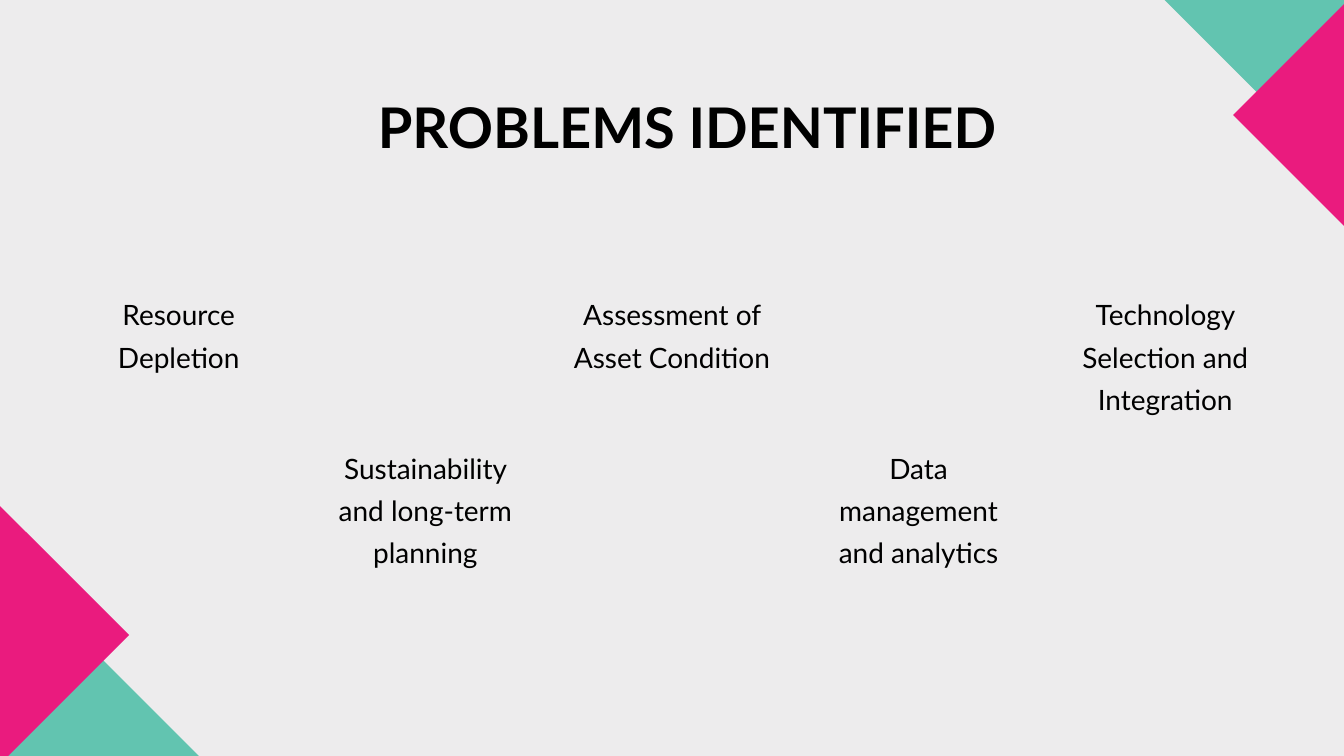
from pptx import Presentation
from pptx.dml.color import RGBColor
from pptx.enum.shapes import MSO_SHAPE
from pptx.enum.text import MSO_ANCHOR, PP_ALIGN
from pptx.util import Inches, Pt

TRIANGLE = MSO_SHAPE.ISOSCELES_TRIANGLE
TOP = MSO_ANCHOR.TOP
CENTER = PP_ALIGN.CENTER

BACKGROUND = RGBColor(0xED, 0xEC, 0xED)
TEAL = RGBColor(0x62, 0xC4, 0xB0)
PINK = RGBColor(0xEA, 0x1B, 0x7E)
BLACK = RGBColor(0, 0, 0)

TITLE = "PROBLEMS IDENTIFIED"
PROBLEMS = [
    "Resource Depletion",
    "Sustainability and long-term planning",
    "Assessment of Asset Condition",
    "Data management and analytics",
    "Technology Selection and Integration",
]
# Tip x, tip y, height, rotation, colour
CORNER_TRIANGLES = [
    (3.34, 11.63, 4.06, 90, TEAL),
    (1.92, 9.45, 2.64, 90, PINK),
    (16.89, -0.44, 3.45, 270, TEAL),
    (18.35, 1.71, 2.96, 270, PINK),
]

TITLE_BOX = (1.35, 1.37, 17.75, 1.02)
FIRST_LEFT, COLUMN_STEP = 1.12, 3.67
ROW_TOPS = (4.31, 6.6)
PROBLEM_WIDTH, LINE_HEIGHT = 3.08, 0.62

TITLE_FONT = {"name": "Lato", "size": Pt(60), "bold": True}
PROBLEM_FONT = {"name": "Lato", "size": Pt(30), "bold": False}
FRAME_FORMAT = {
    "margin_left": 0, "margin_top": 0, "margin_right": 0, "margin_bottom": 0,
    "word_wrap": True, "vertical_anchor": TOP,
}


def set_values(target, values):
    for name, value in values.items():
        setattr(target, name, value)


def write_text(shape, text, font_format, line_spacing):
    frame = shape.text_frame
    set_values(frame, FRAME_FORMAT)
    paragraph = frame.paragraphs[0]
    paragraph.alignment = CENTER
    paragraph.line_spacing = Pt(line_spacing)
    run = paragraph.add_run()
    run.text = text
    set_values(run.font, font_format)
    run.font.color.rgb = BLACK


def add_corner_triangle(slide, tip_x, tip_y, height, rotation, color):
    """Add a right-angled triangle whose tip points into the slide."""
    direction = 1 if rotation == 90 else -1
    center_x = tip_x - direction * height / 2
    shape = slide.shapes.add_shape(
        TRIANGLE, Inches(center_x - height), Inches(tip_y - height / 2),
        Inches(2 * height), Inches(height))
    shape.rotation = rotation
    shape.shadow.inherit = False
    shape.fill.solid()
    shape.fill.fore_color.rgb = color
    shape.line.fill.background()


def main():
    presentation = Presentation()
    presentation.slide_width = Inches(20)
    presentation.slide_height = Inches(11.25)
    slide = presentation.slides.add_slide(presentation.slide_layouts[5])
    slide.background.fill.solid()
    slide.background.fill.fore_color.rgb = BACKGROUND

    for triangle in CORNER_TRIANGLES:
        add_corner_triangle(slide, *triangle)

    title = slide.shapes.title
    sides = map(Inches, TITLE_BOX)
    set_values(title, dict(zip(("left", "top", "width", "height"), sides)))
    write_text(title, TITLE, TITLE_FONT, 72)

    for column, problem in enumerate(PROBLEMS):
        box = slide.shapes.add_textbox(
            Inches(FIRST_LEFT + column * COLUMN_STEP),
            Inches(ROW_TOPS[column % 2]),
            Inches(PROBLEM_WIDTH),
            Inches(LINE_HEIGHT * (2 if column == 0 else 3)))
        write_text(box, problem, PROBLEM_FONT, 45)

    presentation.save("out.pptx")


if __name__ == "__main__":
    main()
